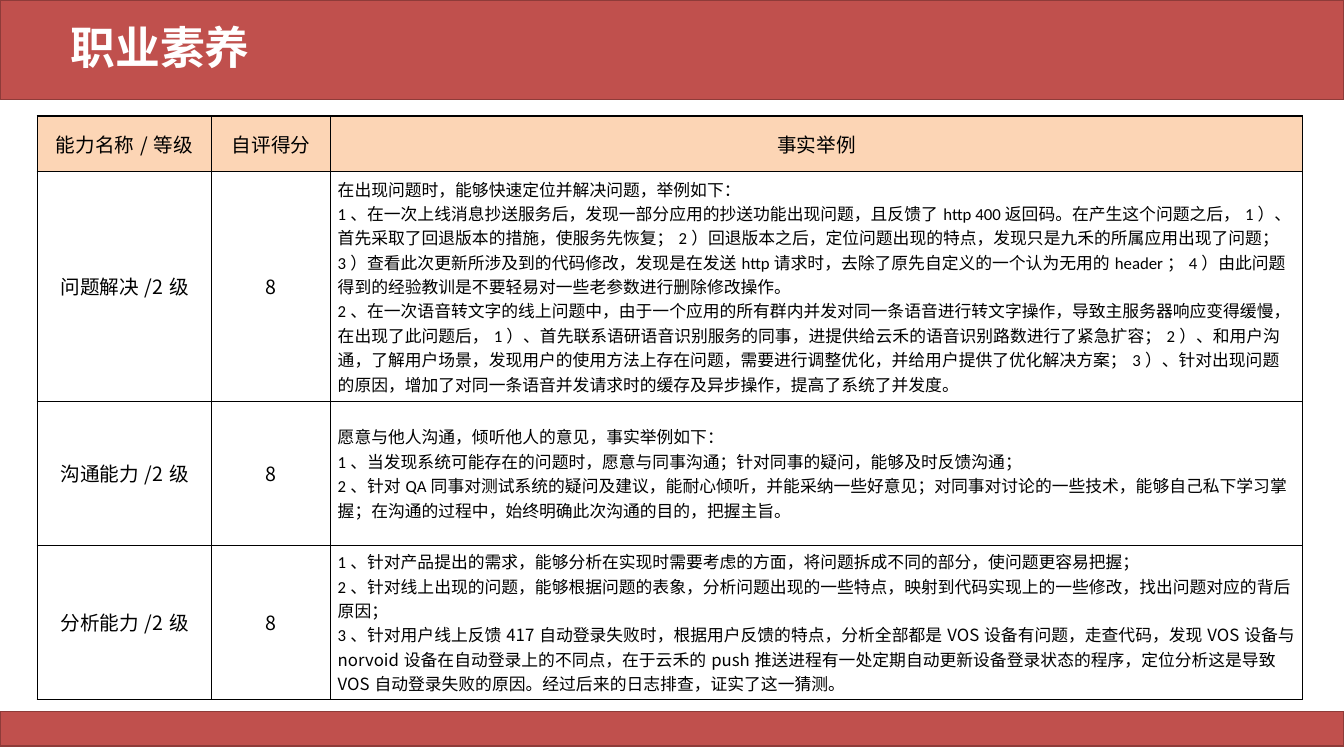
from dataclasses import dataclass

from lxml.etree import SubElement
from pptx import Presentation
from pptx.dml.color import RGBColor
from pptx.enum.shapes import MSO_SHAPE
from pptx.enum.text import MSO_ANCHOR, PP_ALIGN
from pptx.oxml.ns import qn
from pptx.util import Inches, Pt

HUES = {
    "band": "C0504D",
    "edge": "8E3B39",
    "head": "FCD5B5",
    "ink": "000000",
    "title": "FFFFFF",
}
LATIN = "Calibri"
HAN = "Noto Sans CJK SC"
COLS = [1.73, 1.18, 9.64]
HEADS = ["能力名称/等级", "自评得分", "事实举例"]
HEAD_TALL = 0.55


@dataclass
class Band:
    top: float
    tall: float


@dataclass
class Skill:
    name: str
    score: int
    tall: float
    facts: list[str]
    tail: str = ""
    gap: int = 0


BANDS = [Band(0, 0.99), Band(7.06, 0.34)]

SKILLS = [
    Skill("问题解决/2级", 8, 2.28, [
        "在出现问题时，能够快速定位并解决问题，举例如下：",
        "1、在一次上线消息抄送服务后，发现一部分应用的抄送功能出现问题，且反馈了http 400返回码。"
        "在产生这个问题之后，1）、首先采取了回退版本的措施，使服务先恢复；"
        "2）回退版本之后，定位问题出现的特点，发现只是九禾的所属应用出现了问题；"
        "3）查看此次更新所涉及到的代码修改，发现是在发送http请求时，"
        "去除了原先自定义的一个认为无用的header；"
        "4）由此问题得到的经验教训是不要轻易对一些老参数进行删除修改操作。",
        "2、在一次语音转文字的线上问题中，由于一个应用的所有群内并发对同一条语音进行转文字操作，"
        "导致主服务器响应变得缓慢，在出现了此问题后，"
        "1）、首先联系语研语音识别服务的同事，进提供给云禾的语音识别路数进行了紧急扩容；"
        "2）、和用户沟通，了解用户场景，发现用户的使用方法上存在问题，需要进行调整优化，"
        "并给用户提供了优化解决方案；"
        "3）、针对出现问题的原因，增加了对同一条语音并发请求时的缓存及异步操作，"
        "提高了系统了并发度。",
    ]),
    Skill("沟通能力/2级", 8, 1.43, [
        "愿意与他人沟通，倾听他人的意见，事实举例如下：",
        "1、当发现系统可能存在的问题时，愿意与同事沟通；针对同事的疑问，能够及时反馈沟通；",
        "2、针对QA同事对测试系统的疑问及建议，能耐心倾听，并能采纳一些好意见；"
        "对同事对讨论的一些技术，能够自己私下学习掌握；"
        "在沟通的过程中，始终明确此次沟通的目的，把握主旨。",
    ]),
    Skill("分析能力/2级", 8, 1.53, [
        "1、针对产品提出的需求，能够分析在实现时需要考虑的方面，"
        "将问题拆成不同的部分，使问题更容易把握；",
        "2、针对线上出现的问题，能够根据问题的表象，分析问题出现的一些特点，"
        "映射到代码实现上的一些修改，找出问题对应的背后原因；",
        "3、",
    ], "针对用户线上反馈417自动登录失败时，根据用户反馈的特点，分析全部都是VOS设备有问题，"
       "走查代码，发现VOS设备与norvoid设备在自动登录上的不同点，"
       "在于云禾的push推送进程有一处定期自动更新设备登录状态的程序，"
       "定位分析这是导致VOS自动登录失败的原因。经过后来的日志排查，证实了这一猜测。", 4),
]


def hue(key: str) -> RGBColor:
    return RGBColor.from_string(HUES[key])


def style(para, face: str, size: int, key: str = "ink") -> None:
    font = para.font
    font.name, font.size = face, Pt(size)
    font.color.rgb = hue(key)
    node = para._p.get_or_add_pPr().find(qn("a:defRPr"))
    SubElement(node, qn("a:ea")).set("typeface", HAN)


def draw_band(slide, band: Band) -> None:
    shape = slide.shapes.add_shape(
        MSO_SHAPE.RECTANGLE, 0, Inches(band.top), Inches(13.33), Inches(band.tall))
    shape.shadow.inherit = False
    shape.fill.solid()
    shape.fill.fore_color.rgb = hue("band")
    shape.line.color.rgb = hue("edge")
    shape.line.width = Pt(1)


def draw_title(slide, text: str) -> None:
    box = slide.shapes.add_textbox(Inches(0.6), Inches(0.2), Inches(11.5), Inches(0.59))
    frame = box.text_frame
    frame.word_wrap = True
    frame.vertical_anchor = MSO_ANCHOR.MIDDLE
    para = frame.paragraphs[0]
    para.text = text
    para.line_spacing = 0.9
    style(para, LATIN, 32, "title")
    para.font.bold = True


def frame_cell(cell) -> None:
    props = cell._tc.get_or_add_tcPr()
    for place, side in enumerate(("lnL", "lnR", "lnT", "lnB")):
        line = props.makeelement(qn(f"a:{side}"), {"w": str(Pt(1))})
        fill = SubElement(line, qn("a:solidFill"))
        SubElement(fill, qn("a:srgbClr")).set("val", HUES["ink"])
        props.insert(place, line)


def fill_cell(cell, text: str, inset: float, face: str = HAN, size: int = 14,
              align: PP_ALIGN = PP_ALIGN.CENTER, head: bool = False):
    cell.margin_left = cell.margin_right = Inches(inset)
    cell.margin_top = cell.margin_bottom = 0
    cell.vertical_anchor = MSO_ANCHOR.MIDDLE
    if head:
        cell.fill.solid()
        cell.fill.fore_color.rgb = hue("head")
    else:
        cell.fill.background()
    frame_cell(cell)
    para = cell.text_frame.paragraphs[0]
    para.text = text
    para.alignment = align
    style(para, face, size)
    return para


def draw_table(slide) -> None:
    talls = [HEAD_TALL] + [skill.tall for skill in SKILLS]
    frame = slide.shapes.add_table(
        len(talls), len(COLS), Inches(0.37), Inches(1.15),
        Inches(sum(COLS)), Inches(sum(talls)))
    table = frame.table
    table.first_row = table.horz_banding = False
    for col, wide in zip(table.columns, COLS):
        col.width = Inches(wide)
    for row, tall in zip(table.rows, talls):
        row.height = Inches(tall)
    for spot, text in enumerate(HEADS):
        fill_cell(table.cell(0, spot), text, 0.07, head=True)
    for spot, skill in enumerate(SKILLS, 1):
        fill_cell(table.cell(spot, 0), skill.name, 0)
        fill_cell(table.cell(spot, 1), str(skill.score), 0)
        para = fill_cell(table.cell(spot, 2), "\v".join(skill.facts), 0.07,
                         LATIN, 12, PP_ALIGN.LEFT)
        if skill.gap:
            para.space_before = Pt(skill.gap)
        if skill.tail:
            run = para.add_run()
            run.text = skill.tail
            run.font.name = HAN


deck = Presentation()
deck.slide_width, deck.slide_height = Inches(13.33), Inches(7.5)
page = deck.slides.add_slide(deck.slide_layouts[6])
for band in BANDS:
    draw_band(page, band)
draw_title(page, "职业素养")
draw_table(page)
deck.save("out.pptx")
